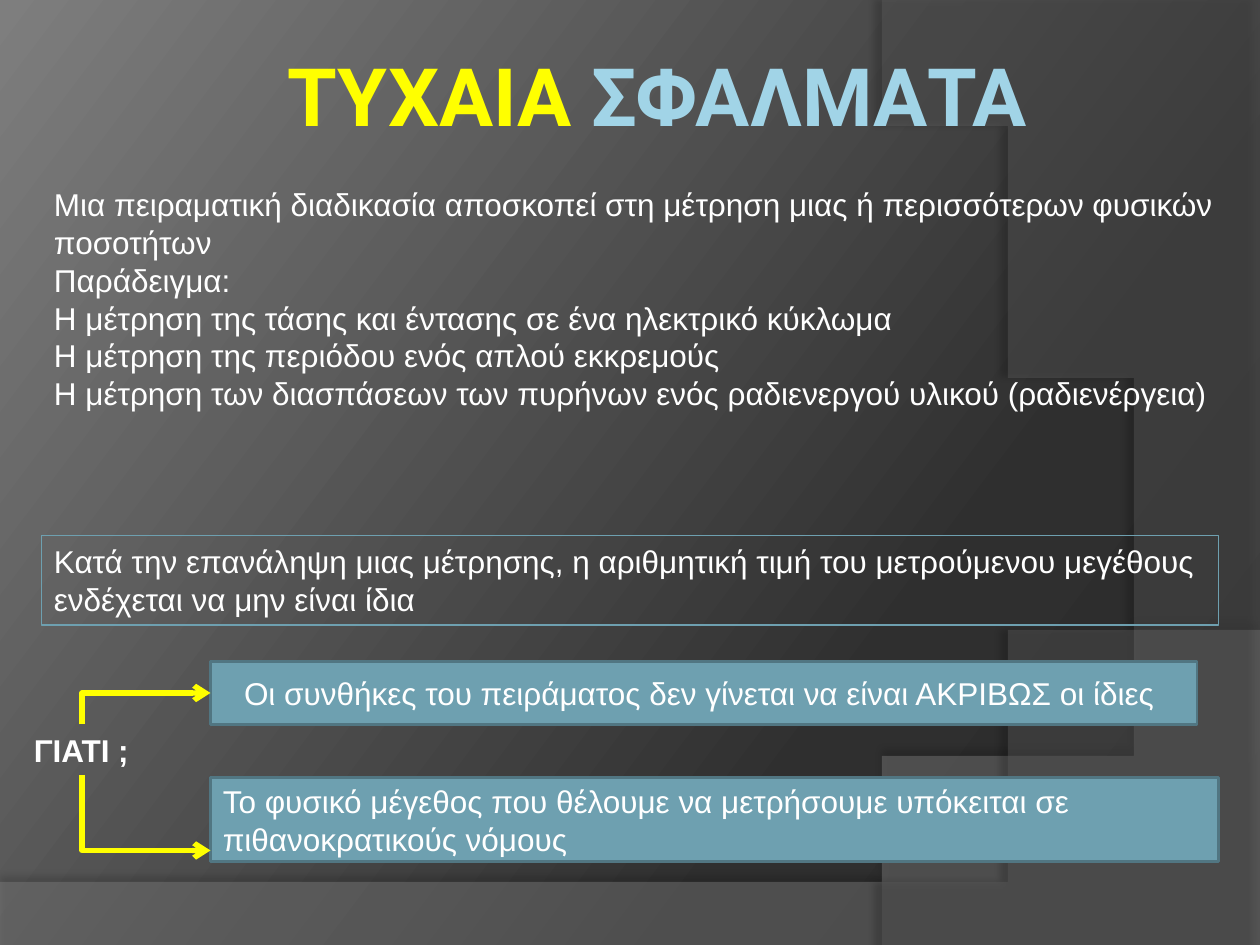
from lxml import etree
from pptx import Presentation
from pptx.dml.color import RGBColor
from pptx.enum.shapes import MSO_CONNECTOR, MSO_SHAPE
from pptx.enum.text import MSO_ANCHOR, MSO_AUTO_SIZE, PP_ALIGN
from pptx.oxml import parse_xml
from pptx.oxml.ns import nsdecls, qn
from pptx.util import Inches, Pt

# Theme
THEME = {
    "text": "FFFFFF", "accent": "FFFF00", "box": "6EA0B0", "box_line": "517682",
    "title_outline": "5DD4FF", "wave": "7F7F7F", "arc": "5E5E5E",
    "background": [(0, "282828"), (30, "2F2F2F"), (100, "7E7E7E")],
    "title_gradient": [(0, "A1D4E7"), (9, "A1D4E7"), (53, "58808D"),
                       (90, "A1D4E7"), (100, "A1D4E7")],
    "font": "Arial", "title_font": "Roboto", "size": 18, "title_size": 46,
}

# Content: positions are left, top, width, height in inches
TITLE = ("ΤΥΧΑΙΑ ", "ΣΦΑΛΜΑΤΑ")
TITLE_AT = (1.67, 0.25, 7.09, 1)
INTRO = [
    "Μια πειραματική διαδικασία αποσκοπεί στη μέτρηση μιας ή περισσότερων φυσικών ποσοτήτων",
    "Παράδειγμα:",
    "Η μέτρηση της τάσης και έντασης σε ένα ηλεκτρικό κύκλωμα",
    "Η μέτρηση της περιόδου ενός απλού εκκρεμούς",
    "Η μέτρηση των διασπάσεων των πυρήνων ενός ραδιενεργού υλικού (ραδιενέργεια)",
]
OBSERVATION = [
    "Κατά την επανάληψη μιας μέτρησης, η αριθμητική τιμή του μετρούμενου μεγέθους",
    "ενδέχεται να μην είναι ίδια",
]
QUESTION = ["ΓΙΑΤΙ ;"]
REASONS = [
    ("Οι συνθήκες του πειράματος δεν γίνεται να είναι ΑΚΡΙΒΩΣ οι ίδιες ",
     (1.67, 5.25, 7.83, 0.5), PP_ALIGN.CENTER),
    ("Το φυσικό μέγεθος που θέλουμε να μετρήσουμε υπόκειται σε πιθανοκρατικούς νόμους",
     (1.67, 6.17, 8, 0.67), PP_ALIGN.LEFT),
]
ARROWS = [((0.65, 6.15), (1.67, 6.75)), ((0.65, 5.75), (1.67, 5.5))]


def bezier(start, control1, control2, end, steps=48):
    """Points along a cubic curve, without its start."""
    points = []
    for step in range(1, steps + 1):
        t = step / steps
        weights = ((1 - t) ** 3, 3 * t * (1 - t) ** 2, 3 * t * t * (1 - t), t ** 3)
        corners = (start, control1, control2, end)
        points.append(tuple(sum(w * corner[axis] for w, corner in zip(weights, corners))
                            for axis in (0, 1)))
    return points


# Backdrop: outline, colour, opacity %, shadow opacity %, distance pt, direction
BACKDROP = [
    ([(0, 7.05), (0, 7.51), (10, 7.51), (10, 5.2),
      *bezier((10, 5.2), (5.59, 7.29), (3.91, 7.19), (0, 7.05))],
     THEME["wave"], 45, 35, 3.5, 270),
    ([(10, 0.02), (10, 7.5), (7.03, 7.5),
      *bezier((7.03, 7.5), (8.91, 6.19), (9.47, 2.75), (6.68, 0))],
     THEME["arc"], 40, 45, 4, 180),
]


def color(value):
    return RGBColor.from_string(value)


def gradient(stops, angle):
    marks = "".join(f'<a:gs pos="{position * 1000}"><a:srgbClr val="{value}"/></a:gs>'
                    for position, value in stops)
    return parse_xml(f'<a:gradFill {nsdecls("a")} rotWithShape="1"><a:gsLst>{marks}</a:gsLst>'
                     f'<a:lin ang="{angle * 60000}" scaled="0"/></a:gradFill>')


def add_run(paragraph, text, font=THEME["font"], size=THEME["size"],
            fill=THEME["text"], bold=False):
    run = paragraph.add_run()
    run.text = text
    run.font.name, run.font.size, run.font.bold = font, Pt(size), bold
    run.font.color.rgb = color(fill)
    return run


def write(shape, lines, align=PP_ALIGN.LEFT, anchor=MSO_ANCHOR.TOP,
          wrap=True, grow=False, **run_format):
    frame = shape.text_frame
    frame.word_wrap, frame.vertical_anchor = wrap, anchor
    frame.auto_size = MSO_AUTO_SIZE.SHAPE_TO_FIT_TEXT if grow else MSO_AUTO_SIZE.NONE
    for index, line in enumerate(lines):
        paragraph = frame.add_paragraph() if index else frame.paragraphs[0]
        paragraph.alignment = align
        add_run(paragraph, line, **run_format)


def add_box(slide, position, line, width, fill=None):
    shape = slide.shapes.add_shape(MSO_SHAPE.RECTANGLE, *map(Inches, position))
    shape.shadow.inherit = False
    if fill:
        shape.fill.solid()
        shape.fill.fore_color.rgb = color(fill)
    else:
        shape.fill.background()
    shape.line.color.rgb, shape.line.width = color(line), Pt(width)
    return shape


def add_backdrop(slide, layer, points, fill, opacity, shade, distance, direction):
    builder = slide.shapes.build_freeform(*points[0], scale=Inches(1))
    builder.add_line_segments(points[1:], close=True)
    shape = builder.convert_to_shape()
    shape.line.fill.background()
    shape.fill.solid()
    shape.fill.fore_color.rgb = color(fill)
    solid = shape.element.spPr.find(qn("a:solidFill"))
    etree.SubElement(solid[0], qn("a:alpha"), val=str(opacity * 1000))
    shape.element.spPr.append(parse_xml(
        f'<a:effectLst {nsdecls("a")}><a:outerShdw blurRad="{Pt(4)}" dist="{Pt(distance)}" '
        f'dir="{direction * 60000}" algn="ctr" rotWithShape="0"><a:srgbClr val="000000">'
        f'<a:alpha val="{shade * 1000}"/></a:srgbClr></a:outerShdw></a:effectLst>'))
    slide.shapes.element.insert(2 + layer, shape.element)  # behind the title


def add_bent_arrow(slide, start, end):
    """One-bend arrow leaving vertically: a flipped connector turned a quarter."""
    (x1, y1), (x2, y2) = start, end
    center_x, center_y = (x1 + x2) / 2, (y1 + y2) / 2
    half_width, half_height = abs(y2 - y1) / 2, abs(x2 - x1) / 2
    rise = 1 if y2 > y1 else -1
    connector = slide.shapes.add_connector(
        MSO_CONNECTOR.ELBOW,
        Inches(center_x + half_width), Inches(center_y - rise * half_height),
        Inches(center_x - half_width), Inches(center_y + rise * half_height))
    properties = connector.element.spPr
    properties.find(qn("a:xfrm")).set("rot", str((270 if rise > 0 else 90) * 60000))
    properties.find(qn("a:prstGeom")).set("prst", "bentConnector2")
    connector.line.color.rgb, connector.line.width = color(THEME["accent"]), Pt(3)
    etree.SubElement(properties.find(qn("a:ln")), qn("a:tailEnd"), type="arrow")
    etree.SubElement(properties, qn("a:effectLst"))


def add_title(slide):
    title = slide.shapes.title
    title.left, title.top, title.width, title.height = map(Inches, TITLE_AT)
    look = {"font": THEME["title_font"], "size": THEME["title_size"], "bold": True}
    write(title, TITLE[:1], align=PP_ALIGN.CENTER, anchor=MSO_ANCHOR.MIDDLE,
          fill=THEME["accent"], **look)
    frame = title.text_frame
    frame.margin_left = frame.margin_right = Inches(0.05)
    paragraph = frame.paragraphs[0]
    add_run(paragraph, TITLE[1], **look)
    for run in paragraph.runs:
        run.font._element.insert(0, parse_xml(
            f'<a:ln {nsdecls("a")} w="{Pt(0.39)}"><a:solidFill>'
            f'<a:srgbClr val="{THEME["title_outline"]}"/></a:solidFill></a:ln>'))
    last = paragraph.runs[-1].font._element
    last.replace(last.find(qn("a:solidFill")), gradient(THEME["title_gradient"], 90))


def main():
    presentation = Presentation()
    presentation.slide_width, presentation.slide_height = Inches(10), Inches(7.5)
    slide = presentation.slides.add_slide(presentation.slide_layouts[5])

    # Background and backdrop curves
    slide.background.fill.solid()
    background = slide.element.cSld.find(qn("p:bg")).find(qn("p:bgPr"))
    background.replace(background[0], gradient(THEME["background"], 217))
    for layer, backdrop in enumerate(BACKDROP):
        add_backdrop(slide, layer, *backdrop)

    # Title, introduction and observation
    add_title(slide)
    intro = slide.shapes.add_textbox(*map(Inches, (0.33, 1.42, 9.42, 1.92)))
    write(intro, INTRO, grow=True)
    observation = add_box(slide, (0.33, 4.25, 9.34, 0.71), THEME["box"], 0.75)
    write(observation, OBSERVATION, wrap=False, grow=True)

    # Question and its two reasons
    question = slide.shapes.add_textbox(*map(Inches, (0.17, 5.75, 0.96, 0.4)))
    write(question, QUESTION, wrap=False, grow=True, bold=True)
    for text, position, align in REASONS:
        reason = add_box(slide, position, THEME["box_line"], 1.5, fill=THEME["box"])
        write(reason, [text], align=align, anchor=MSO_ANCHOR.MIDDLE)
    for start, end in ARROWS:
        add_bent_arrow(slide, start, end)

    presentation.save("out.pptx")


if __name__ == "__main__":
    main()
